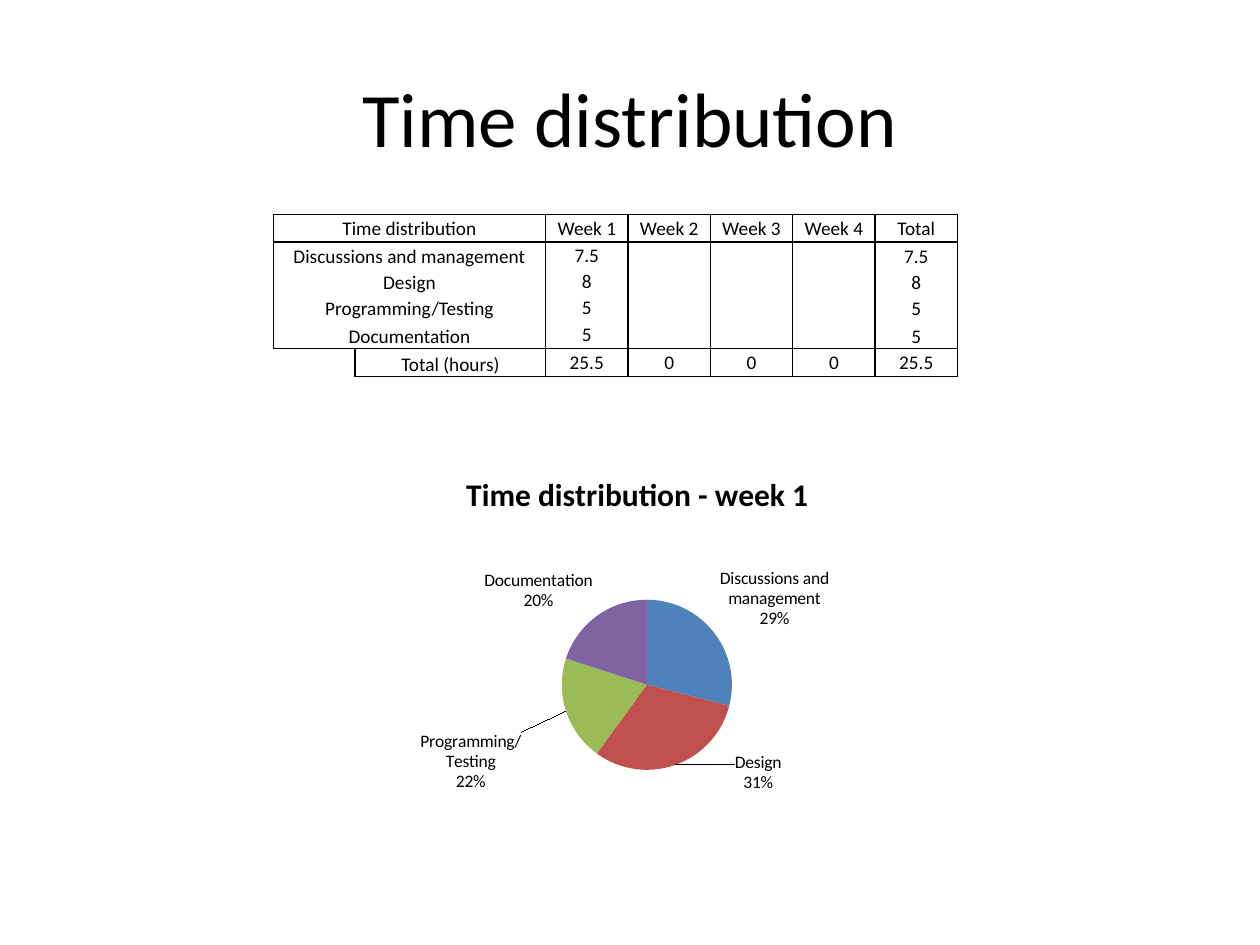
from lxml.etree import SubElement
from pptx import Presentation
from pptx.chart.data import CategoryChartData
from pptx.dml.color import RGBColor
from pptx.enum.chart import XL_CHART_TYPE, XL_LABEL_POSITION
from pptx.enum.text import MSO_ANCHOR, PP_ALIGN
from pptx.oxml import parse_xml
from pptx.oxml.ns import nsdecls, qn
from pptx.util import Cm, Pt

BLACK = RGBColor(0x00, 0x00, 0x00)
BLUE = RGBColor(0x4F, 0x81, 0xBD)
RED = RGBColor(0xC0, 0x50, 0x4D)
GREEN = RGBColor(0x9B, 0xBB, 0x59)
PURPLE = RGBColor(0x80, 0x64, 0xA2)

TASKS = ["Discussions and management", "Design", "Programming/Testing", "Documentation"]
HOURS = ["7.5", "8", "5", "5"]
SHARES = [29, 31, 20, 20]
HEADER = ["Time distribution", "", "Week 1", "Week 2", "Week 3", "Week 4", "Total"]
TOTALS = ["", "Total (hours)", "25.5", "0", "0", "0", "25.5"]
ROWS = [HEADER, *([task, "", hours, "", "", "", hours] for task, hours in zip(TASKS, HOURS)), TOTALS]
COLUMN_WIDTHS = [1.65, 3.84] + [1.66] * 5
ROW_HEIGHTS = [0.56, 0.53, 0.53, 0.53, 0.56, 0.56]


def manual_layout(x, y, width=None, height=None):
    """Return a chart layout element with the given fractions."""
    target = '<c:layoutTarget val="inner"/><c:xMode val="edge"/><c:yMode val="edge"/>' if width else ""
    size = f'<c:w val="{width}"/><c:h val="{height}"/>' if width else ""
    return parse_xml(
        f'<c:layout {nsdecls("c")}><c:manualLayout>{target}'
        f'<c:x val="{x}"/><c:y val="{y}"/>{size}</c:manualLayout></c:layout>'
    )


class SlideBuilder:
    """Holds the style and the current slide, and adds each kind of element."""

    font_name = "Calibri"

    def __init__(self, slide):
        self.slide = slide

    def format_font(self, font, size, bold=False):
        font.name = self.font_name
        font.size = Pt(size)
        font.bold = bold
        font.color.rgb = BLACK

    def format_text(self, text_frame, size):
        for paragraph in text_frame.paragraphs:
            paragraph.alignment = PP_ALIGN.CENTER
            for run in paragraph.runs:
                self.format_font(run.font, size)
            if not paragraph.runs:
                paragraph._p.get_or_add_endParaRPr().set("sz", str(size * 100))

    def add_title(self, text, left, top, width, height):
        title = self.slide.shapes.title
        title.left, title.top, title.width, title.height = Cm(left), Cm(top), Cm(width), Cm(height)
        title.text_frame.text = text
        title.text_frame.vertical_anchor = MSO_ANCHOR.MIDDLE
        self.format_text(title.text_frame, 44)

    def set_borders(self, cell, sides):
        properties = cell._tc.get_or_add_tcPr()
        for side in "LRTB":
            line = SubElement(properties, qn(f"a:ln{side}"), w=str(Pt(1)))
            if side in sides:
                fill = SubElement(line, qn("a:solidFill"))
                SubElement(fill, qn("a:srgbClr"), val=str(BLACK))
            else:
                SubElement(line, qn("a:noFill"))

    def add_table(self, rows, column_widths, row_heights, left, top):
        last = len(rows) - 1
        frame = self.slide.shapes.add_table(
            len(rows), len(column_widths), Cm(left), Cm(top), Cm(sum(column_widths)), Cm(sum(row_heights))
        )
        table = frame.table
        table.first_row = table.horz_banding = False
        for column, width in zip(table.columns, column_widths):
            column.width = Cm(width)
        for row, height in zip(table.rows, row_heights):
            row.height = Cm(height)
        for row_index in range(last):
            table.cell(row_index, 0).merge(table.cell(row_index, 1))
        for row_index, texts in enumerate(rows):
            horizontal = {0: "TB", 1: "T", last - 1: "B", last: "TB"}.get(row_index, "")
            for column_index, text in enumerate(texts):
                cell = table.cell(row_index, column_index)
                cell.text_frame.text = text
                self.format_text(cell.text_frame, 11)
                cell.margin_left = cell.margin_right = cell.margin_top = Cm(0.02)
                cell.margin_bottom = 0
                in_body = 0 < row_index < last
                at_bottom = in_body and column_index in (0, 6) or text == "Total (hours)"
                cell.vertical_anchor = MSO_ANCHOR.BOTTOM if at_bottom else MSO_ANCHOR.MIDDLE
                if row_index == last and column_index == 0:
                    sides = "TR"
                else:
                    sides = horizontal + ("R" if cell.is_spanned else "LR")
                self.set_borders(cell, sides)
                cell.fill.background()

    def move_label(self, series, index, x, y, text=None):
        label = series.points[index].data_label
        if text:
            label.text_frame.text = text
            for paragraph in label.text_frame.paragraphs:
                for run in paragraph.runs:
                    self.format_font(run.font, 10)
        else:
            self.format_font(label.font, 10)
        label.position = XL_LABEL_POSITION.OUTSIDE_END
        element = series.data_labels._element.xpath(f"c:dLbl[c:idx/@val='{index}']")[0]
        for tag, value in (("showVal", "0"), ("showCatName", "1"), ("showPercent", "1")):
            element.find(qn(f"c:{tag}")).set("val", value)
        for layout in element.findall(qn("c:layout")):
            element.remove(layout)
        element.insert(1, manual_layout(x, y))

    def add_pie(self, title, categories, values, colors, left, top, width, height):
        data = CategoryChartData()
        data.categories = categories
        data.add_series("Series 1", values)
        chart = self.slide.shapes.add_chart(
            XL_CHART_TYPE.PIE, Cm(left), Cm(top), Cm(width), Cm(height), data
        ).chart
        self.format_font(chart.font, 10)
        chart.has_legend = False
        chart.has_title = True
        chart.chart_title.text_frame.text = title
        self.format_font(chart.chart_title.text_frame.paragraphs[0].runs[0].font, 18, bold=True)
        plot = chart.plots[0]
        plot.vary_by_categories = True
        series = plot.series[0]
        for index, color in enumerate(colors):
            fill = series.points[index].format.fill
            fill.solid()
            fill.fore_color.rgb = color
        labels = series.data_labels
        labels.show_value = False
        labels.show_category_name = labels.show_percentage = True
        labels.position = XL_LABEL_POSITION.OUTSIDE_END
        self.format_font(labels.font, 10)
        leader_lines = labels._element.find(qn("c:showLeaderLines"))
        if leader_lines is None:
            leader_lines = SubElement(labels._element, qn("c:showLeaderLines"))
        leader_lines.set("val", "1")
        self.move_label(series, 1, 0.09, -0.05)
        self.move_label(series, 2, -0.06, 0.05, "Programming/ Testing\n22%")
        plot_area = plot._element.getparent()
        for layout in plot_area.findall(qn("c:layout")):
            plot_area.remove(layout)
        plot_area.insert(0, manual_layout(0.38, 0.39, 0.27, 0.45))


def main():
    presentation = Presentation()
    presentation.slide_width, presentation.slide_height = Cm(25.4), Cm(19.05)
    builder = SlideBuilder(presentation.slides.add_slide(presentation.slide_layouts[5]))
    builder.add_title("Time distribution", 1.27, 0.76, 22.86, 3.18)
    builder.add_table(ROWS, COLUMN_WIDTHS, ROW_HEIGHTS, 5.51, 4.32)
    builder.add_pie(
        "Time distribution - week 1", TASKS, SHARES, [BLUE, RED, GREEN, PURPLE], 6.5, 9.12, 12.7, 7.62
    )
    presentation.save("out.pptx")


if __name__ == "__main__":
    main()
